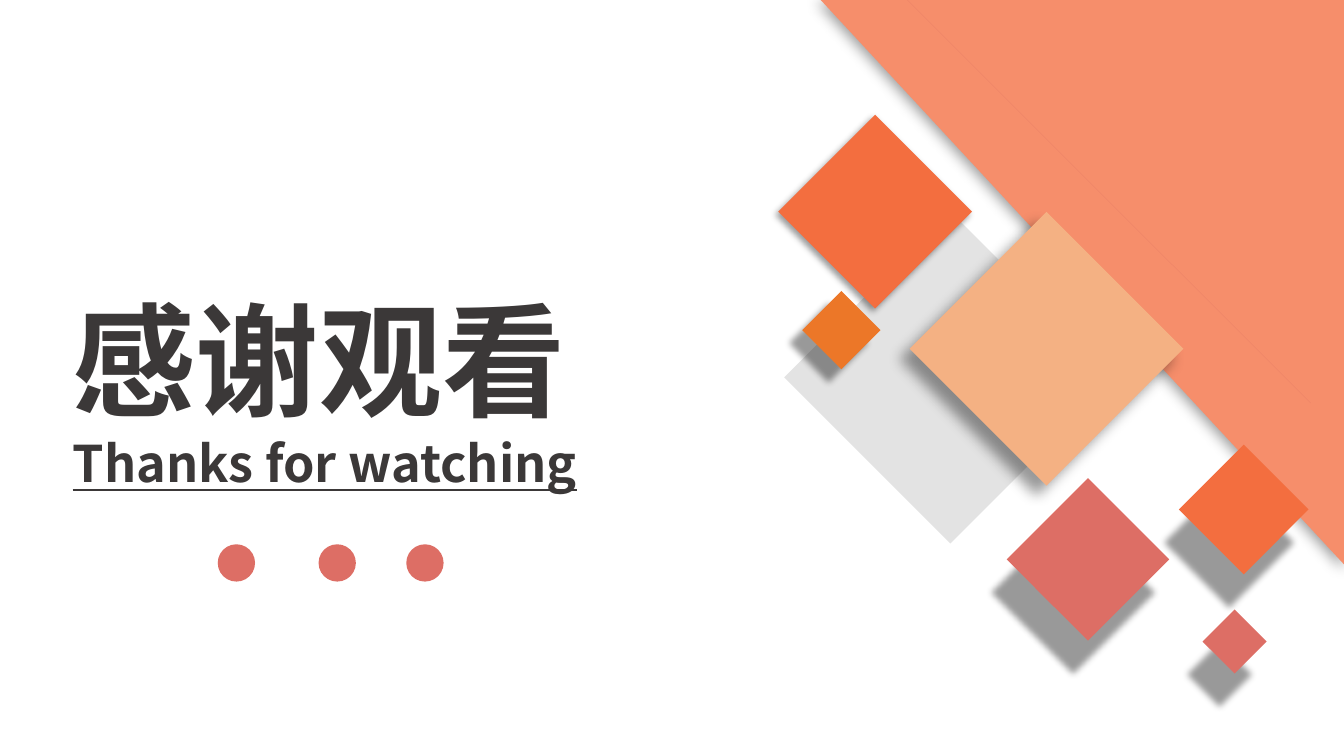
"""Builds the closing slide: a thank-you title beside layered diamonds."""
import lxml.etree
import pptx
import pptx.dml.color
import pptx.enum.shapes
import pptx.enum.text
import pptx.oxml.ns
import pptx.util

Inches = pptx.util.Inches
Pt = pptx.util.Pt
PRESET = pptx.enum.shapes.MSO_SHAPE
FONT = "Noto Sans CJK SC"
INK, CORAL, ROSE, ORANGE = "3B3838", "F68E6B", "DD6E65", "F36E3F"
WIDE_SHADOW, SHORT_SHADOW, FAR_SHADOW = (10, 3, 135), (5, 3, 135), (5, 26, 114)


def color(hex_code):
    """Turn a hex string into a colour."""
    return pptx.dml.color.RGBColor.from_string(hex_code)


def add_child(parent, tag, **attributes):
    """Append a drawing element with the given attributes."""
    child = lxml.etree.SubElement(parent, pptx.oxml.ns.qn(tag))
    for key, value in attributes.items():
        child.set(key, str(value))
    return child


def paint(shape, fill, shadow=None, opacity=100):
    """Give a shape a flat fill, no outline and an optional soft shadow."""
    shape.fill.solid()
    shape.fill.fore_color.rgb = color(fill)
    shape.line.fill.background()
    shape.shadow.inherit = False
    if opacity < 100:
        tint = shape._element.spPr.find(".//" + pptx.oxml.ns.qn("a:srgbClr"))
        add_child(tint, "a:alpha", val=opacity * 1000)
    if shadow:
        blur, distance, angle = shadow
        effects = shape._element.spPr.find(pptx.oxml.ns.qn("a:effectLst"))
        outer = add_child(effects, "a:outerShdw", blurRad=Pt(blur), dist=Pt(distance),
                          dir=angle * 60000, algn="tr", rotWithShape=0)
        add_child(add_child(outer, "a:srgbClr", val="000000"), "a:alpha", val=40000)


def add_preset(slide, preset, left, top, width, height, rotation=0):
    """Place a preset shape, measured in inches."""
    shape = slide.shapes.add_shape(preset, Inches(left), Inches(top), Inches(width), Inches(height))
    shape.rotation = rotation
    return shape


def draw_diamonds(slide, left, top):
    """Draw the corner, its band and the turned squares from a top-left point."""
    backdrop = add_preset(slide, PRESET.RECTANGLE, left + 0.26, top + 2.58, 2.33, 2.33, 45)
    paint(backdrop, "D9D9D9", opacity=73)
    corner = add_preset(slide, PRESET.RIGHT_TRIANGLE, left + 0.14, top, 5.2, 5.61, 180)
    paint(corner, CORAL, WIDE_SHADOW)

    outline = [(left + x, top + y) for x, y in
               [(0.7, -0.03), (1.18, -0.03), (4.79, 3.59), (4.55, 3.83)]]
    builder = slide.shapes.build_freeform(*outline[0], scale=Inches(1))
    builder.add_line_segments(outline[1:], close=True)
    paint(builder.convert_to_shape(), ROSE, WIDE_SHADOW)

    diamonds = [
        (1.42, 2.5, 1.92, "F4B183", (10, 10, 135)),
        (0.07, 3, 0.55, "EC7728", (5, 13, 135)),
        (0, 1.42, 1.36, ORANGE, SHORT_SHADOW),
        (2.22, 4.98, 1.14, ROSE, FAR_SHADOW),
        (3.88, 4.6, 0.91, ORANGE, FAR_SHADOW),
        (4.02, 6.14, 0.45, ROSE, FAR_SHADOW),
    ]
    for x, y, side, fill, shadow in diamonds:
        diamond = add_preset(slide, PRESET.RECTANGLE, left + x, top + y, side, side, 45)
        paint(diamond, fill, shadow)


def write_thanks(slide, left, top, width, height):
    """Write the two-line thanks into the title placeholder."""
    thanks = slide.shapes.title
    thanks.left, thanks.top = Inches(left), Inches(top)
    thanks.width, thanks.height = Inches(width), Inches(height)
    frame = thanks.text_frame
    frame.text = "感谢观看\nThanks for watching"
    frame.word_wrap = True
    frame.auto_size = pptx.enum.text.MSO_AUTO_SIZE.SHAPE_TO_FIT_TEXT
    frame.vertical_anchor = pptx.enum.text.MSO_ANCHOR.TOP
    for paragraph, size, underlined in zip(frame.paragraphs, (88, 36), (False, True)):
        paragraph.alignment = pptx.enum.text.PP_ALIGN.JUSTIFY
        font = paragraph.runs[0].font
        font.name, font.size, font.bold = FONT, Pt(size), True
        font.underline = underlined
        font.color.rgb = color(INK)
        add_child(font._element, "a:ea", typeface=FONT)


def draw_badges(slide, left, top, size):
    """Draw a row of three plain round badges."""
    for offset in (0, 1, 1.87):
        badge = add_preset(slide, PRESET.OVAL, left + offset, top, size, size)
        paint(badge, ROSE)


def main():
    """Build and save the closing slide."""
    deck = pptx.Presentation()
    deck.slide_width, deck.slide_height = Inches(13.33), Inches(7.5)
    slide = deck.slides.add_slide(deck.slide_layouts.get_by_name("Title Only"))
    draw_diamonds(slide, 8, 0)
    write_thanks(slide, 0.62, 2.77, 5.8, 2.19)
    draw_badges(slide, 2.16, 5.4, 0.37)
    deck.save("out.pptx")


if __name__ == "__main__":
    main()
